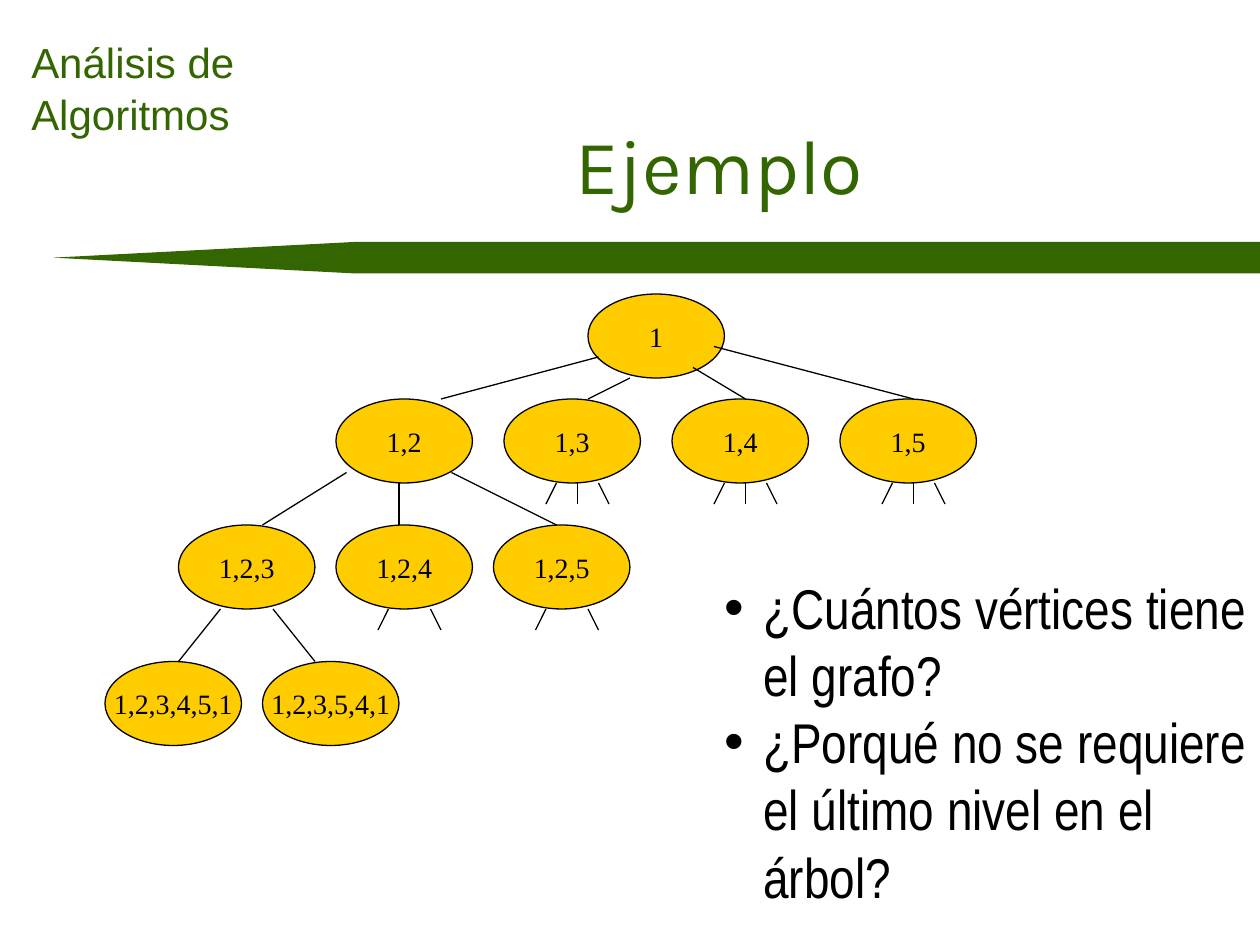
import pptx
import pptx.dml.color
import pptx.enum.shapes
import pptx.enum.text
import pptx.oxml.ns
import pptx.util

Inches = pptx.util.Inches
Pt = pptx.util.Pt
SHAPE = pptx.enum.shapes.MSO_SHAPE
ALIGN = pptx.enum.text.PP_ALIGN
ANCHOR = pptx.enum.text.MSO_ANCHOR
AUTO = pptx.enum.text.MSO_AUTO_SIZE
qn = pptx.oxml.ns.qn

COLORS = {"green": "336600", "gold": "FFCC00", "black": "000000"}
UNIT = 1 / 12
NODE_W, NODE_H = 13, 8
LEVELS = [28, 38, 50, 63]
NODES = [
    [(56, "1")],
    [(32, "1,2"), (48, "1,3"), (64, "1,4"), (80, "1,5")],
    [(17, "1,2,3"), (32, "1,2,4"), (47, "1,2,5")],
    [(10, "1,2,3,4,5,1"), (25, "1,2,3,5,4,1")],
]
EDGES = [
    (57, 34, 42, 38), (60, 36, 56, 38), (66, 35, 71, 38), (68, 33, 87, 38),
    (33, 45, 25, 50), (38, 46, 38, 50), (43, 45, 53, 50),
    (21, 58, 17, 63), (26, 58, 30, 63),
]
OUTER_STUBS = [(5, 4), (9, 10)]
STUBS = {1: OUTER_STUBS + [(7, 7)], 2: OUTER_STUBS}


class TreeSlide:
    """Hold the slide and its style, and draw each kind of element."""

    def __init__(self, prs):
        self.s = prs.slides.add_slide(prs.slide_layouts[6])
        self.line_width = Pt(0.75)
        self.fonts = {
            "header": {"name": "Arial", "size": Pt(24)},
            "title": {"name": "Karla", "size": Pt(44)},
            "node": {"name": "Times New Roman", "size": Pt(16)},
            "body": {"name": "Arial Narrow", "size": Pt(32)},
        }

    def color(self, key):
        return pptx.dml.color.RGBColor.from_string(COLORS[key])

    def fill_text(self, tf, lines, style, color, frame, para):
        for key, value in frame.items():
            setattr(tf, key, value)
        for i, line in enumerate(lines):
            p = tf.paragraphs[0] if i == 0 else tf.add_paragraph()
            for key, value in para.items():
                setattr(p, key, value)
            r = p.add_run()
            r.text = line
            for key, value in self.fonts[style].items():
                setattr(r.font, key, value)
            r.font.color.rgb = self.color(color)

    def text(self, box, lines, style, color, frame, para):
        tf = self.s.shapes.add_textbox(*map(Inches, box)).text_frame
        self.fill_text(tf, lines, style, color, {"word_wrap": True, **frame}, para)
        return tf

    def bullets(self, box, lines):
        tf = self.text(box, lines, "body", "black", {"auto_size": AUTO.SHAPE_TO_FIT_TEXT}, {})
        for p in tf.paragraphs:
            pPr = p._p.get_or_add_pPr()
            pPr.set("marL", str(Inches(0.31)))
            pPr.set("indent", str(Inches(-0.31)))
            for tag, key, value in (("a:buFont", "typeface", "Arial"), ("a:buChar", "char", "•")):
                pPr.append(pPr.makeelement(qn(tag), {key: value}))

    def shape(self, kind, box, fill):
        sp = self.s.shapes.add_shape(kind, *map(Inches, box))
        sp.shadow.inherit = False
        sp.fill.solid()
        sp.fill.fore_color.rgb = self.color(fill)
        return sp

    def band(self, box, point):
        sp = self.shape(SHAPE.PENTAGON, box, "green")
        sp.line.fill.background()
        sp.adjustments[0] = point
        sp._element.spPr.find(qn("a:xfrm")).set("flipH", "1")

    def node(self, x, y, label):
        sp = self.shape(SHAPE.OVAL, [v * UNIT for v in (x, y, NODE_W, NODE_H)], "gold")
        sp.line.color.rgb = self.color("black")
        sp.line.width = self.line_width
        self.fill_text(sp.text_frame, [label], "node", "black",
                       {"word_wrap": False, "vertical_anchor": ANCHOR.MIDDLE},
                       {"alignment": ALIGN.CENTER})

    def edge(self, *ends):
        c = self.s.shapes.add_connector(pptx.enum.shapes.MSO_CONNECTOR.STRAIGHT,
                                        *(Inches(v * UNIT) for v in ends))
        c.line.color.rgb = self.color("black")
        c.line.width = self.line_width
        spPr = c._element.spPr
        spPr.append(spPr.makeelement(qn("a:effectLst"), {}))


def main():
    prs = pptx.Presentation()
    prs.slide_width, prs.slide_height = Inches(10), Inches(7.5)
    slide = TreeSlide(prs)
    slide.band((0.42, 1.92, 9.58, 0.25), 9.58)
    slide.text((0.15, 0.24, 2.27, 0.9), ["Análisis de", "Algoritmos"], "header", "green",
               {"auto_size": AUTO.SHAPE_TO_FIT_TEXT}, {"space_before": Pt(1.2)})
    slide.text((2.17, 0.67, 7.08, 1.25), ["Ejemplo"], "title", "green",
               {"vertical_anchor": ANCHOR.MIDDLE}, {"alignment": ALIGN.CENTER})
    for y, row in zip(LEVELS, NODES):
        for x, label in row:
            slide.node(x, y, label)
    for ends in EDGES:
        slide.edge(*ends)
    for level, stubs in STUBS.items():
        bottom = LEVELS[level] + NODE_H
        for x, _ in NODES[level][1:]:
            for start, end in stubs:
                slide.edge(x + start, bottom, x + end, bottom + 2)
    slide.bullets((5.65, 4.5, 4.35, 2.77), [
        "¿Cuántos vértices tiene el grafo?",
        "¿Porqué no se requiere el último nivel en el árbol?",
    ])
    prs.save("out.pptx")


if __name__ == "__main__":
    main()
